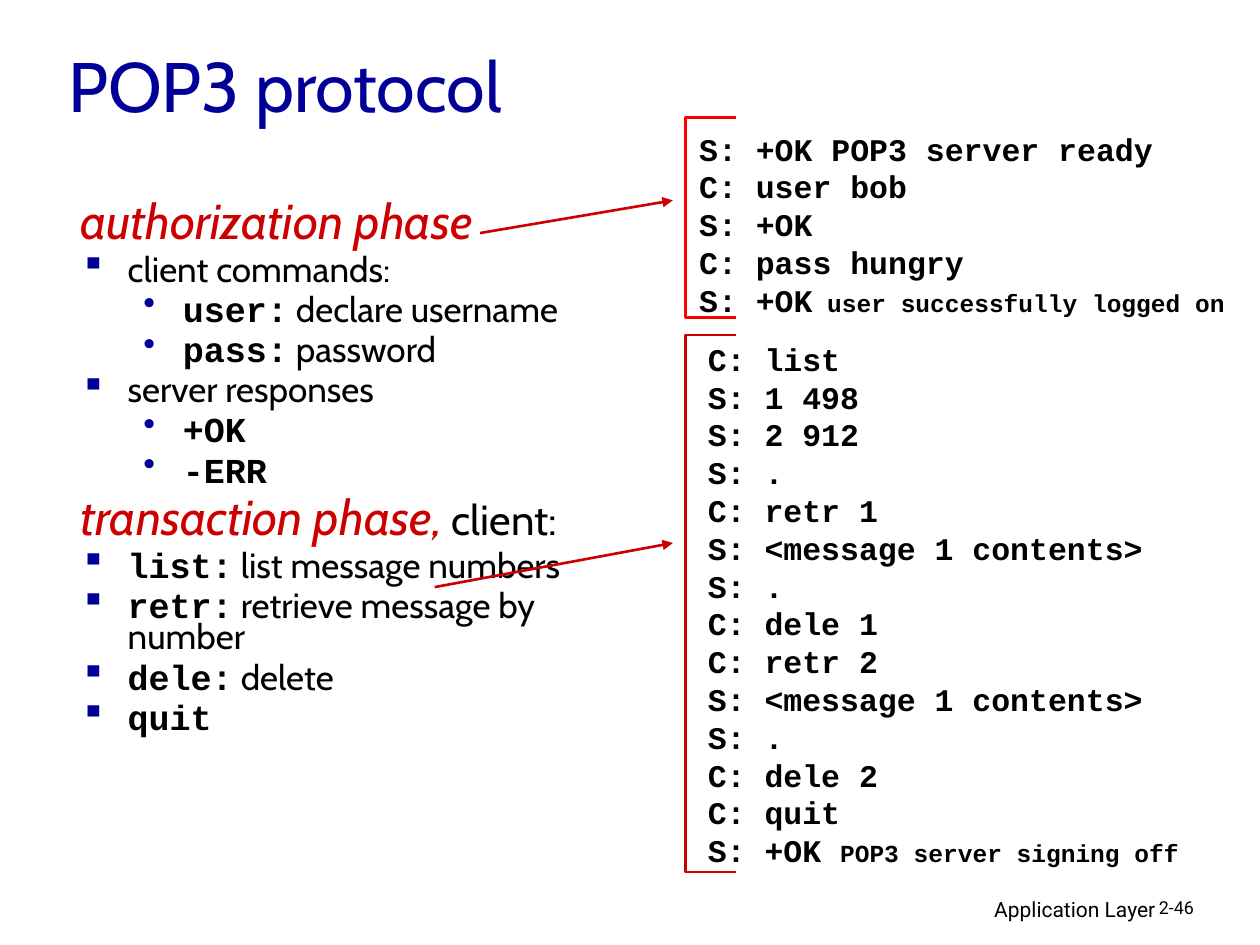
from lxml import etree
from pptx import Presentation
from pptx.dml.color import RGBColor
from pptx.enum.shapes import MSO_CONNECTOR
from pptx.enum.text import MSO_ANCHOR, PP_ALIGN
from pptx.oxml.ns import qn
from pptx.util import Pt

LINE = MSO_CONNECTOR.STRAIGHT
LEFT, RIGHT = PP_ALIGN.LEFT, PP_ALIGN.RIGHT
MIDDLE = MSO_ANCHOR.MIDDLE

THEME = {
    "navy": "000099", "red": "CC0000", "bright": "FF0000", "black": "000000",
    "stroke": 1.5, "pitch": 21.6, "tight": 0.75,
}
BLACK = THEME["black"]
STYLES = {
    "title": dict(name="Cabin", size=40, color=THEME["navy"]),
    "phase": dict(name="Cabin", size=28, color=THEME["red"], italic=True),
    "side": dict(name="Cabin", size=24, color=BLACK),
    "body": dict(name="Cabin", size=20, color=BLACK),
    "word": dict(name="Courier New", size=20, color=BLACK, bold=True),
    "code": dict(name="Courier New", size=18, color=BLACK, bold=True),
    "note": dict(name="Courier New", size=14, color=BLACK, bold=True),
    "foot": dict(name="Roboto", size=12, color=BLACK),
    "page": dict(name="Roboto", size=10.2, color=BLACK),
}
# Outline level: bullet, left margin, hanging indent, space before
LEVELS = [("", 27, -27, 6), ("▪", 27, -27, 5), ("•", 58.5, -22.5, 5)]

TITLE = "POP3 protocol"
OUTLINE = [
    (0, [("authorization phase", "phase")]),
    (1, [("client commands:", "body")]),
    (2, [("user:", "word"), (" declare username", "body")]),
    (2, [("pass:", "word"), (" password", "body")]),
    (1, [("server responses", "body")]),
    (2, [("+OK", "word")]),
    (2, [("-ERR", "word")]),
    (0, [("transaction phase,", "phase"), (" client:", "side")]),
    (1, [("list:", "word"), (" list message numbers", "body")]),
    (1, [("retr:", "word"), (" retrieve message by number", "body")]),
    (1, [("dele:", "word"), (" delete", "body")]),
    (1, [("quit", "word")]),
]
# Each dialog: text left and top, lines, closing note, bracket, arrow
DIALOGS = [
    dict(at=(392.4, 70.5), note=" user successfully logged on",
         lines=["S: +OK POP3 server ready", "C: user bob", "S: +OK",
                "C: pass hungry", "S: +OK"],
         span=(67, 181.4), color=THEME["bright"],
         arrow=(274.3, 133.2, 384.5, 114.5)),
    dict(at=(397.4, 190.7), note="POP3 server signing off",
         lines=["C: list", "S: 1 498", "S: 2 912", "S: .", "C: retr 1",
                "S: <message 1 contents>", "S: .", "C: dele 1", "C: retr 2",
                "S: <message 1 contents>", "S: .", "C: dele 2", "C: quit",
                "S: +OK "],
         span=(191.5, 498.2), color=THEME["red"],
         arrow=(248.4, 335.5, 384.5, 310.3)),
]
BRACKET = (391.7, 420.8)
FOOTERS = [
    ("Application Layer", "foot", (439.2, 509, 228.2, 22.3), RIGHT),
    ("2-46", "page", (655.2, 509, 53.3, 21.6), LEFT),
]


def style(font, key):
    for name, value in STYLES[key].items():
        if name == "color":
            font.color.rgb = RGBColor.from_string(value)
        else:
            setattr(font, name, Pt(value) if name == "size" else value)


def write(para, runs):
    for text, key in runs:
        run = para.add_run()
        run.text = text
        style(run.font, key)


def box(slide, area, wrap=True):
    frame = slide.shapes.add_textbox(*map(Pt, area)).text_frame
    frame.word_wrap = wrap
    return frame


def paras(frame, count):
    """Yield count paragraphs, the first being the one already there."""
    yield frame.paragraphs[0]
    for _ in range(count - 1):
        yield frame.add_paragraph()


def bullet(para, mark, left, hang):
    props = para._p.get_or_add_pPr()
    props.set("marL", str(Pt(left)))
    props.set("indent", str(Pt(hang)))
    if mark:
        color = etree.SubElement(props, qn("a:buClr"))
        etree.SubElement(color, qn("a:srgbClr"), val=THEME["navy"])
        etree.SubElement(props, qn("a:buChar"), char=mark)
    else:
        etree.SubElement(props, qn("a:buNone"))


def outline(slide):
    frame = box(slide, (38.9, 113, 312.5, 365.8))
    for i, (para, (level, runs)) in enumerate(
            zip(paras(frame, len(OUTLINE)), OUTLINE)):
        mark, left, hang, gap = LEVELS[level]
        bullet(para, mark, left, hang)
        para.line_spacing = THEME["tight"]
        para.space_before = Pt(gap if i else 0)
        write(para, runs)


def stroke(line, color):
    line.color.rgb = RGBColor.from_string(color)
    line.width = Pt(THEME["stroke"])


def bracket(slide, span, color):
    (left, right), (top, base) = BRACKET, span
    pen = slide.shapes.build_freeform(Pt(right), Pt(top))
    pen.add_line_segments(
        [(Pt(x), Pt(y)) for x, y in
         [(left, top), (left, base), (right, base)]], close=False)
    shape = pen.convert_to_shape()
    shape.shadow.inherit = False
    shape.fill.background()
    stroke(shape.line, color)


def arrow(slide, ends):
    link = slide.shapes.add_connector(LINE, *map(Pt, ends))
    stroke(link.line, THEME["red"])
    etree.SubElement(link.line._get_or_add_ln(), qn("a:tailEnd"),
                     type="triangle")
    etree.SubElement(link._element.spPr, qn("a:effectLst"))


def dialog(slide, part):
    lines = part["lines"]
    high = len(lines) * THEME["pitch"] + 7.2
    frame = box(slide, (*part["at"], 315, high), wrap=False)
    for para, line in zip(paras(frame, len(lines)), lines):
        para.line_spacing = Pt(THEME["pitch"])
        write(para, [(line, "code")])
    write(para, [(part["note"], "note")])
    bracket(slide, part["span"], part["color"])
    arrow(slide, part["arrow"])


def main():
    deck = Presentation()
    deck.slide_width, deck.slide_height = Pt(720), Pt(540)
    slide = deck.slides.add_slide(deck.slide_layouts[5])
    title = slide.shapes.title
    area = dict(left=31.7, top=10.1, width=612, height=76.3)
    for name, value in area.items():
        setattr(title, name, Pt(value))
    title.text_frame.vertical_anchor = MIDDLE
    head = title.text_frame.paragraphs[0]
    head.alignment = LEFT
    write(head, [(TITLE, "title")])
    outline(slide)
    for part in DIALOGS:
        dialog(slide, part)
    for text, key, place, align in FOOTERS:
        para = box(slide, place).paragraphs[0]
        para.alignment = align
        write(para, [(text, key)])
    deck.save("out.pptx")


if __name__ == "__main__":
    main()
